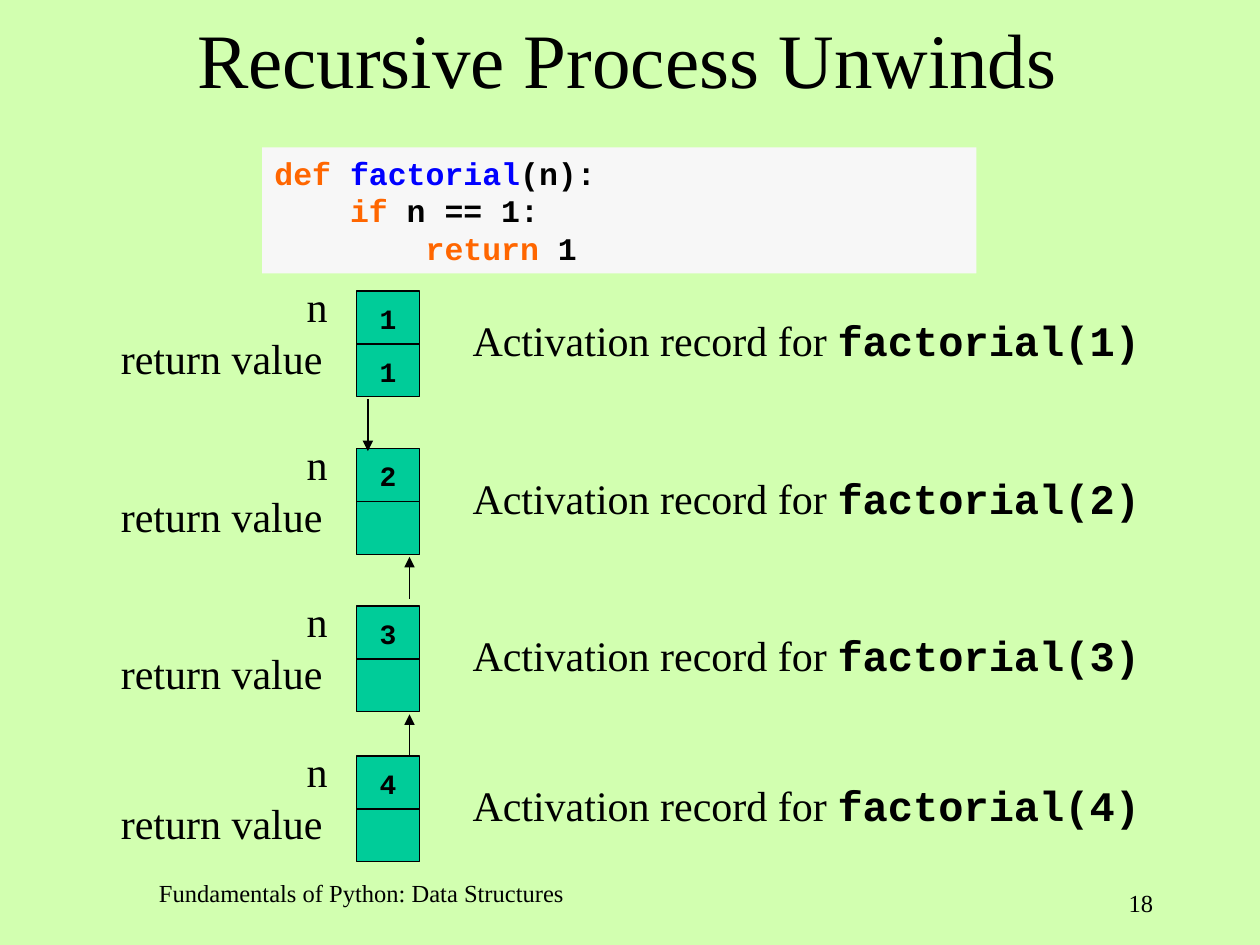
from dataclasses import dataclass
from typing import NamedTuple
from lxml.etree import SubElement
from pptx import Presentation
from pptx.dml.color import RGBColor as Rgb
from pptx.enum.shapes import MSO_CONNECTOR as Conn, MSO_SHAPE as Kind
from pptx.enum.text import MSO_ANCHOR as Anchor, PP_ALIGN as Align
from pptx.oxml.ns import qn
from pptx.util import Inches, Pt

COLORS = {"page": "D2FFB0", "cell": "00CC99", "code": "F7F7F7",
          "ink": "000000", "key": "FF6600", "name": "0000FF"}
SERIF, MONO = "Times New Roman", "Courier New"
LINE = 0.74
CELL = 0.42
TIGHT = (0.04, 0, 0.04, 0)
LOOSE = (0.1, 0.05, 0.1, 0.05)


class Part(NamedTuple):
    text: str
    size: float = 24
    font: str = SERIF
    color: str = "ink"
    bold: bool = False


class Box(NamedTuple):
    left: float
    top: float
    width: float
    height: float


@dataclass
class Record:
    top: float
    n: str
    value: str = ""


@dataclass
class Arrow:
    x: float
    start: float
    end: float


def color(name: str) -> Rgb:
    return Rgb.from_string(COLORS[name])


def fill_line(para, parts: list[Part], align=Align.LEFT) -> None:
    para.alignment = align
    for part in parts:
        run = para.add_run()
        run.text = part.text
        run.font.size = Pt(part.size)
        run.font.name = part.font
        run.font.bold = part.bold
        run.font.color.rgb = color(part.color)


def set_frame(frame, pads: tuple, anchor=Anchor.TOP) -> None:
    frame.word_wrap = True
    frame.vertical_anchor = anchor
    (frame.margin_left, frame.margin_top,
     frame.margin_right, frame.margin_bottom) = map(Inches, pads)


def add_text(slide, box: Box, parts: list[Part], align=Align.LEFT,
             pads: tuple = TIGHT, anchor=Anchor.TOP) -> None:
    frame = slide.shapes.add_textbox(*map(Inches, box)).text_frame
    set_frame(frame, pads, anchor)
    fill_line(frame.paragraphs[0], parts, align)


def add_rect(slide, box: Box, fill: str, lined: bool = True):
    rect = slide.shapes.add_shape(Kind.RECTANGLE, *map(Inches, box))
    rect.shadow.inherit = False
    rect.fill.solid()
    rect.fill.fore_color.rgb = color(fill)
    if lined:
        rect.line.color.rgb = color("ink")
        rect.line.width = Pt(LINE)
    else:
        rect.line.fill.background()
    return rect


def add_cell(slide, top: float, text: str) -> None:
    add_rect(slide, Box(2.83, top, 0.5, CELL), "cell")
    if text:
        add_text(slide, Box(2.97, top + 0.08, 0.22, 0.27),
                 [Part(text, 16, MONO, bold=True)], Align.CENTER,
                 anchor=Anchor.MIDDLE)


def add_record(slide, rec: Record) -> None:
    add_cell(slide, rec.top, rec.n)
    add_cell(slide, rec.top + CELL, rec.value)
    add_text(slide, Box(2.38, rec.top - 0.08, 0.26, 0.4),
             [Part("n")], Align.RIGHT)
    add_text(slide, Box(0.91, rec.top + 0.33, 1.69, 0.4),
             [Part("return value")], Align.RIGHT)
    add_text(slide, Box(3.71, rec.top + 0.19, 5.39, 0.4),
             [Part("Activation record for "),
              Part(f"factorial({rec.n})", font=MONO, bold=True)],
             pads=(0.04, 0, 0, 0))


def add_arrow(slide, arrow: Arrow) -> None:
    line = slide.shapes.add_connector(
        Conn.STRAIGHT, Inches(arrow.x), Inches(arrow.start),
        Inches(arrow.x), Inches(arrow.end))
    line.line.color.rgb = color("ink")
    line.line.width = Pt(LINE)
    SubElement(line.line._get_or_add_ln(), qn("a:tailEnd"), type="triangle")
    SubElement(line._element.spPr, qn("a:effectLst"))


def add_code(slide, box: Box, lines: list) -> None:
    frame = add_rect(slide, box, "code", lined=False).text_frame
    set_frame(frame, LOOSE)
    for row, words in enumerate(lines):
        para = frame.add_paragraph() if row else frame.paragraphs[0]
        parts = [Part(text, 18, MONO, tint, True) for text, tint in words]
        fill_line(para, parts)
        props = para._p.get_or_add_pPr()
        props.set("marL", str(Inches(0.6 * row)))
        props.set("indent", "0")


RECORDS = [Record(6, "4"), Record(4.81, "3"),
           Record(3.56, "2"), Record(2.31, "1", "1")]
ARROWS = [Arrow(3.25, 6, 5.67), Arrow(3.25, 4.75, 4.42),
          Arrow(2.92, 3.17, 3.58)]
CODE = [[("def ", "key"), ("factorial", "name"), ("(n):", "ink")],
        [("if", "key"), (" n == 1:", "ink")],
        [("return", "key"), (" 1", "ink")]]

deck = Presentation()
deck.slide_width, deck.slide_height = Inches(10), Inches(7.5)
slide = deck.slides.add_slide(deck.slide_layouts[6])
slide.background.fill.solid()
slide.background.fill.fore_color.rgb = color("page")

add_text(slide, Box(0.75, -0.42, 8.5, 1.75),
         [Part("Recursive Process Unwinds", 44)], Align.CENTER,
         (0.1, 0.05, 0.14, 0.05), Anchor.MIDDLE)
for rec in RECORDS:
    add_record(slide, rec)
for arrow in ARROWS:
    add_arrow(slide, arrow)
add_code(slide, Box(2.08, 1.17, 5.67, 1), CODE)
add_text(slide, Box(0.83, 6.92, 4.08, 0.58),
         [Part("Fundamentals of Python: Data Structures", 14)],
         Align.CENTER, LOOSE)
add_text(slide, Box(7.17, 7, 2.08, 0.5), [Part("18", 14)],
         Align.RIGHT, LOOSE)
deck.save("out.pptx")
